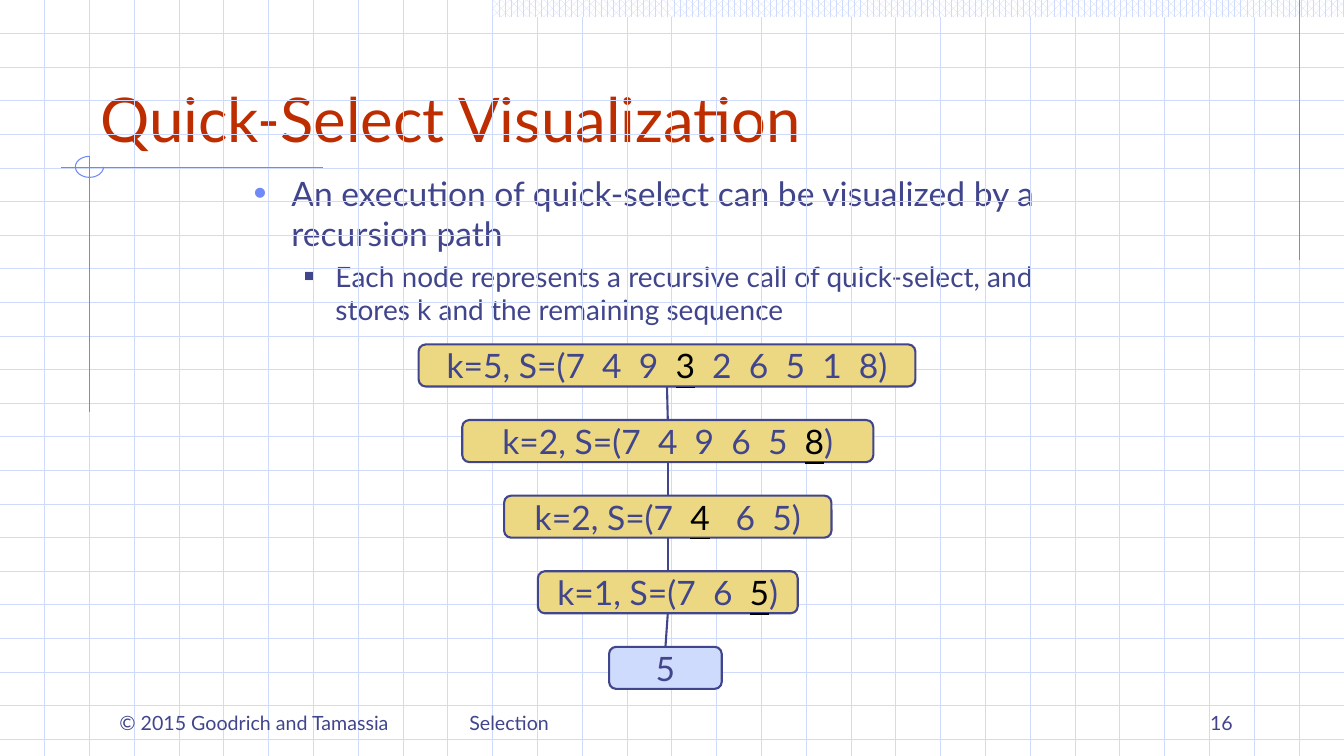
from lxml import etree
from pptx import Presentation
from pptx.dml.color import RGBColor
from pptx.enum.dml import MSO_PATTERN
from pptx.enum.shapes import MSO_CONNECTOR, MSO_SHAPE
from pptx.enum.text import MSO_ANCHOR, MSO_AUTO_SIZE, PP_ALIGN
from pptx.oxml.ns import qn
from pptx.util import Cm, Pt

STRAIGHT = MSO_CONNECTOR.STRAIGHT
RECTANGLE, ROUNDED, ARC = MSO_SHAPE.RECTANGLE, MSO_SHAPE.ROUNDED_RECTANGLE, MSO_SHAPE.ARC
LEFT, CENTER, RIGHT = PP_ALIGN.LEFT, PP_ALIGN.CENTER, PP_ALIGN.RIGHT
TOP, MIDDLE, BOTTOM = MSO_ANCHOR.TOP, MSO_ANCHOR.MIDDLE, MSO_ANCHOR.BOTTOM
NO_AUTOFIT = MSO_AUTO_SIZE.NONE
DOTS = MSO_PATTERN.PERCENT_60

FONT = "Lato"
INK, RED, BLACK, WHITE = "40458C", "BE2D00", "000000", "FFFFFF"
ACCENT, PALE, GOLD = "6F89F7", "CFDBFD", "ECD882"
BOTTOM_SITE, TOP_SITE = 2, 0

WIDTH, HEIGHT = 33.87, 19.05
GRID_COLUMNS, GRID_RIGHT = 29, 32.74
GRID_ROWS, GRID_BOTTOM = 22, 18.63

AXIS, FIRST_TOP, LAST_TOP, NODE_HEIGHT = 16.83, 8.68, 16.3, 1.06
CALLS = [
    (16.81, 12.52, GOLD, "k=5, S=(7  4  9  ", "3", "  2  6  5  1  8)"),
    (AXIS, 10.36, GOLD, "k=2, S=(7  4  9  6  5  ", "8", ")"),
    (AXIS, 8.25, GOLD, "k=2, S=(7  ", "4", "   6  5)"),
    (AXIS, 6.55, GOLD, "k=1, S=(7  6  ", "5", ")"),
    (16.77, 2.84, PALE, "5", "", ""),
]
BULLETS = [
    ("An execution of quick-select can be visualized by a recursion path",
     0, 24, 0, "•", ACCENT, 110, 0.95, 0.95),
    ("Each node represents a recursive call of quick-select, and stores k and the remaining sequence",
     1, 20, 4, "■", INK, 60, 2.06, 0.79),
]
FOOTERS = [
    ("© 2015 Goodrich and Tamassia", (2.67, 17.78, 7.47, 0.86), CENTER, TOP, False),
    ("Selection", (11.58, 17.35, 10.72, 1.27), LEFT, BOTTOM, True),
    ("16", (24.26, 17.35, 7.06, 1.27), RIGHT, BOTTOM, True),
]
RULES = [
    (GRID_RIGHT, 0, GRID_RIGHT, 6.55),
    (1.54, 4.21, 8.15, 4.21),
    (2.26, 3.94, 2.26, 10.39),
]


def color(value):
    return RGBColor.from_string(value)


def apply(target, formats):
    for key, value in formats.items():
        setattr(target, key, value)


def place(target, box):
    apply(target, dict(zip(("left", "top", "width", "height"), map(Cm, box))))


def write(paragraph, text, size, ink=INK, underline=False):
    run = paragraph.add_run()
    run.text = text
    apply(run.font, {"name": FONT, "size": Pt(size), "underline": underline})
    run.font.color.rgb = color(ink)


def outline(target, ink, width):
    target.line.color.rgb = color(ink)
    target.line.width = Pt(width)


def add_line(slide, ends, ink, width):
    line = slide.shapes.add_connector(STRAIGHT, *map(Cm, ends))
    outline(line, ink, width)
    line._element.remove(line._element.find(qn("p:style")))
    etree.SubElement(line._element.spPr, qn("a:effectLst"))
    return line


def add_grid(slide):
    for row in range(1, GRID_ROWS + 1):
        y = GRID_BOTTOM * row / GRID_ROWS
        add_line(slide, (0, y, WIDTH, y), PALE, 0.75)
    for column in range(1, GRID_COLUMNS + 1):
        x = GRID_RIGHT * column / GRID_COLUMNS
        add_line(slide, (x, 0, x, HEIGHT), PALE, 0.75)


def add_decoration(slide):
    strip = slide.shapes.add_shape(RECTANGLE, *map(Cm, (12.42, 0, 21.45, 0.43)))
    strip.shadow.inherit = False
    strip.fill.patterned()
    strip.fill.pattern = DOTS
    strip.fill.fore_color.rgb = color(PALE)
    strip.fill.back_color.rgb = color(WHITE)
    strip.line.fill.background()
    for ends in RULES:
        add_line(slide, ends, ACCENT, 0.75)
    ring = slide.shapes.add_shape(ARC, *map(Cm, (1.9, 3.94, 0.71, 0.53)))
    ring.shadow.inherit = False
    ring.adjustments[0] = 0
    ring.adjustments[1] = 162
    ring.fill.background()
    outline(ring, ACCENT, 0.75)


def add_footer(slide, text, box, align, anchor, wrap):
    frame = slide.shapes.add_textbox(*map(Cm, box)).text_frame
    apply(frame, {"word_wrap": wrap, "vertical_anchor": anchor})
    frame.paragraphs[0].alignment = align
    write(frame.paragraphs[0], text, 14)


def fill_title(title):
    place(title, (2.27, 0.84, 28.78, 3.18))
    apply(title.text_frame, {"vertical_anchor": BOTTOM, "auto_size": NO_AUTOFIT})
    title.text_frame.paragraphs[0].alignment = LEFT
    write(title.text_frame.paragraphs[0], "Quick-Select Visualization", 44, RED)


def set_bullet(paragraph, mark, ink, percent, margin, hanging):
    props = paragraph._p.get_or_add_pPr()
    props.set("marL", str(Cm(margin)))
    props.set("indent", str(-Cm(hanging)))
    shade = etree.SubElement(props, qn("a:buClr"))
    etree.SubElement(shade, qn("a:srgbClr"), val=ink)
    etree.SubElement(props, qn("a:buSzPct"), val=str(percent * 1000))
    etree.SubElement(props, qn("a:buFont"), typeface="Arial")
    etree.SubElement(props, qn("a:buChar"), char=mark)


def fill_body(body):
    place(body, (6.14, 4.23, 21.79, 5.51))
    frame = body.text_frame
    apply(frame, {"vertical_anchor": TOP, "auto_size": NO_AUTOFIT})
    for index, (text, level, size, before, *bullet) in enumerate(BULLETS):
        paragraph = frame.add_paragraph() if index else frame.paragraphs[0]
        apply(paragraph, {"level": level, "space_before": Pt(before), "alignment": LEFT})
        set_bullet(paragraph, *bullet)
        write(paragraph, text, size)


def add_call(slide, top, center, width, fill, before, pivot, after):
    box = (center - width / 2, top, width, NODE_HEIGHT)
    node = slide.shapes.add_shape(ROUNDED, *map(Cm, box))
    node.shadow.inherit = False
    node.adjustments[0] = 0.167
    node.fill.solid()
    node.fill.fore_color.rgb = color(fill)
    outline(node, INK, 1.5)
    apply(node.text_frame, {"word_wrap": False, "vertical_anchor": MIDDLE})
    paragraph = node.text_frame.paragraphs[0]
    paragraph.alignment = CENTER
    write(paragraph, before, 24)
    if pivot:
        write(paragraph, pivot, 24, BLACK, True)
        write(paragraph, after, 24)
    return node


def add_recursion_path(slide):
    step = (LAST_TOP - FIRST_TOP) / (len(CALLS) - 1)
    nodes = [add_call(slide, FIRST_TOP + depth * step, *call)
             for depth, call in enumerate(CALLS)]
    for caller, callee in zip(nodes, nodes[1:]):
        link = add_line(slide, (0, 0, 0, 0), INK, 1.5)
        link.begin_connect(caller, BOTTOM_SITE)
        link.end_connect(callee, TOP_SITE)


def main():
    deck = Presentation()
    apply(deck, {"slide_width": Cm(WIDTH), "slide_height": Cm(HEIGHT)})
    slide = deck.slides.add_slide(deck.slide_layouts[1])
    add_grid(slide)
    add_decoration(slide)
    for footer in FOOTERS:
        add_footer(slide, *footer)
    fill_title(slide.shapes.title)
    fill_body(slide.placeholders[1])
    add_recursion_path(slide)
    deck.save("out.pptx")


if __name__ == "__main__":
    main()
